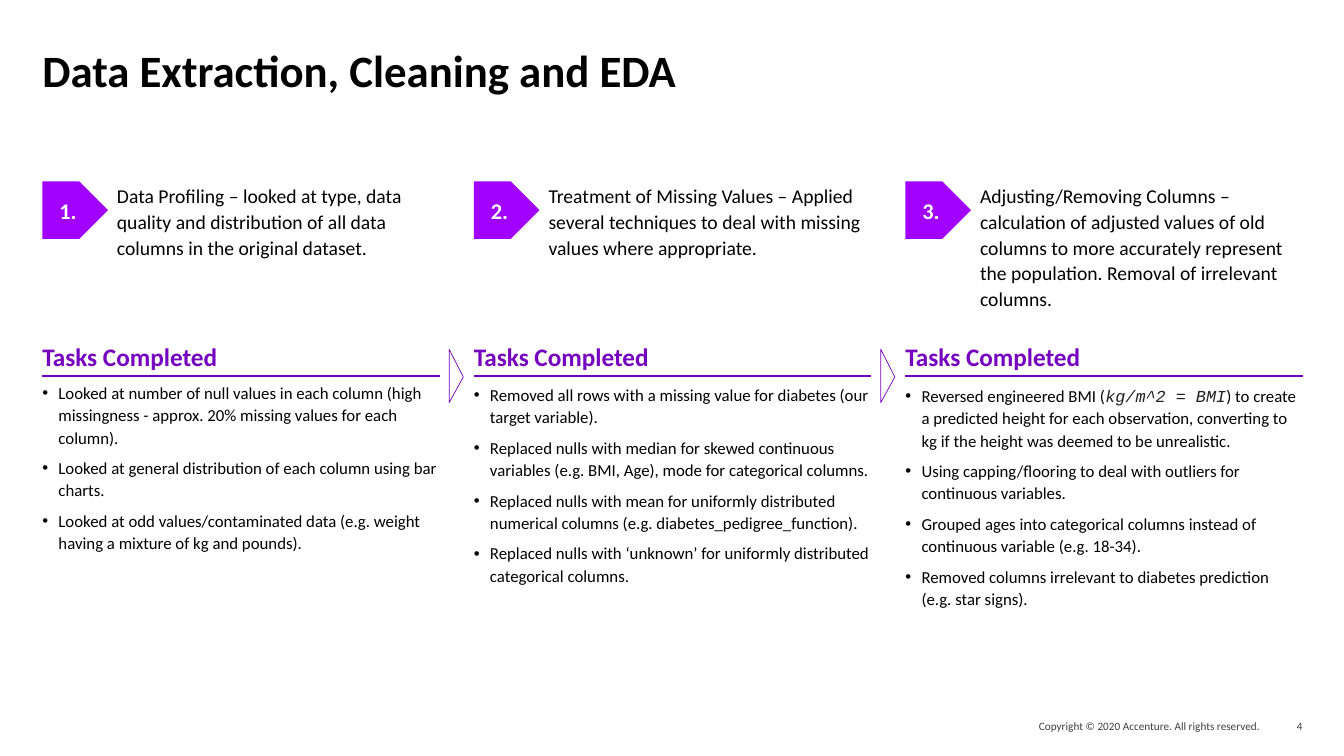
import pptx
import pptx.util
import pptx.oxml
import pptx.oxml.ns
import pptx.dml.color
import pptx.enum.text
import pptx.enum.shapes

Inches = pptx.util.Inches
Pt = pptx.util.Pt
SHAPE = pptx.enum.shapes.MSO_SHAPE
ALIGN = pptx.enum.text.PP_ALIGN
ANCHOR = pptx.enum.text.MSO_ANCHOR
PURPLE = "7500C0"
LEFT, STEP, WIDE = 0.42, 4.28, 3.94

TITLE = {"size": Pt(32), "bold": True}
LEAD = {"size": Pt(14)}
HEAD = {"size": Pt(18), "bold": True}
ITEM = {"size": Pt(12), "bold": False}
CODE = {"size": Pt(12), "bold": False, "italic": True, "name": "Courier New"}
BADGE = {"size": Pt(16), "bold": True}
FOOT = {"size": Pt(8)}

STAGES = [
    ("Data Profiling – looked at type, data quality and distribution of all data "
     "columns in the original dataset.", 3.78, 1.99, [
         "Looked at number of null values in each column (high missingness - approx. "
         "20% missing values for each column).",
         "Looked at general distribution of each column using bar charts.",
         "Looked at odd values/contaminated data (e.g. weight having a mixture of kg "
         "and pounds)."]),
    ("Treatment of Missing Values – Applied several techniques to deal with missing "
     "values where appropriate.", 3.8, 3.06, [
         "Removed all rows with a missing value for diabetes (our target variable).",
         "Replaced nulls with median for skewed continuous variables (e.g. BMI, Age), "
         "mode for categorical columns.",
         "Replaced nulls with mean for uniformly distributed numerical columns (e.g. "
         "diabetes_pedigree_function).",
         "Replaced nulls with ‘unknown’ for uniformly distributed categorical "
         "columns."]),
    ("Adjusting/Removing Columns – calculation of adjusted values of old columns to "
     "more accurately represent the population. Removal of irrelevant columns.",
     3.81, 2.54, [
         "Reversed engineered BMI (|kg/m^2 = BMI|) to create a predicted height for "
         "each observation, converting to kg if the height was deemed to be "
         "unrealistic.",
         "Using capping/flooring to deal with outliers for continuous variables.",
         "Grouped ages into categorical columns instead of continuous variable (e.g. "
         "18-34).",
         "Removed columns irrelevant to diabetes prediction (e.g. star signs)."]),
]


def color(code):
    return pptx.dml.color.RGBColor.from_string(code)


def apply(thing, form):
    for key, value in form.items():
        setattr(thing, key, value)


def place(shape, left, top, width, height):
    box = zip(("left", "top", "width", "height"), (left, top, width, height))
    apply(shape, {key: Inches(size) for key, size in box})


def frame(shape, anchor=ANCHOR.TOP):
    apply(shape.text_frame, {
        "word_wrap": True, "vertical_anchor": anchor,
        "auto_size": pptx.enum.text.MSO_AUTO_SIZE.NONE,
        "margin_left": 0, "margin_right": 0, "margin_top": 0, "margin_bottom": 0})
    return shape.text_frame


def write(para, text, form, tint="000000"):
    run = para.add_run()
    run.text = text
    apply(run.font, {"name": "Calibri", **form})
    run.font.color.rgb = color(tint)


def label(slide, box, text, form, tint="000000", align=ALIGN.LEFT,
          anchor=ANCHOR.TOP, space=1.0):
    shape = slide.shapes.add_textbox(*map(Inches, box))
    para = frame(shape, anchor).paragraphs[0]
    apply(para, {"alignment": align, "line_spacing": space})
    write(para, text, form, tint)


def bullet(para):
    props = para._p.get_or_add_pPr()
    props.set("marL", str(Inches(0.16)))
    props.set("indent", str(Inches(-0.16)))
    space = pptx.oxml.ns.nsdecls("a")
    props.append(pptx.oxml.parse_xml(f'<a:buFont {space} typeface="Arial"/>'))
    props.append(pptx.oxml.parse_xml(f'<a:buChar {space} char="•"/>'))


def fill_list(shape, box, items):
    place(shape, *box)
    text = frame(shape)
    for count, item in enumerate(items):
        para = text.add_paragraph() if count else text.paragraphs[0]
        bullet(para)
        apply(para, {"line_spacing": 1.1, "space_after": Pt(3),
                     "space_before": Pt(3 if count else 0), "alignment": ALIGN.LEFT})
        for part, words in enumerate(item.split("|")):
            if part % 2:
                write(para, words, CODE, "212121")
            else:
                write(para, words, ITEM)


def badge(slide, left, text):
    shape = slide.shapes.add_shape(
        SHAPE.PENTAGON, *map(Inches, (left, 1.8, 0.65, 0.57)))
    shape.shadow.inherit = False
    shape.fill.solid()
    shape.fill.fore_color.rgb = color("A100FF")
    shape.line.fill.background()
    shape.text_frame.vertical_anchor = ANCHOR.MIDDLE
    para = shape.text_frame.paragraphs[0]
    para.alignment = ALIGN.CENTER
    write(para, text, BADGE, "FFFFFF")


def arrow(slide, left):
    shape = slide.shapes.add_shape(
        SHAPE.ISOSCELES_TRIANGLE, *map(Inches, (left, 3.66, 0.53, 0.14)))
    shape.shadow.inherit = False
    shape.rotation = 90
    shape.adjustments[0] = 0.52
    shape.fill.background()
    shape.line.color.rgb = color(PURPLE)
    shape.line.width = Pt(0.5)


def rule(slide, left):
    line = slide.shapes.add_connector(
        pptx.enum.shapes.MSO_CONNECTOR.STRAIGHT,
        *map(Inches, (left, 3.73, left + WIDE, 3.73)))
    line.line.color.rgb = color(PURPLE)
    line.line.width = Pt(1)
    space = pptx.oxml.ns.nsdecls("a")
    line._element.spPr.append(pptx.oxml.parse_xml(f"<a:effectLst {space}/>"))


def main():
    deck = pptx.Presentation()
    apply(deck, {"slide_width": Inches(13.33), "slide_height": Inches(7.5)})
    slide = deck.slides.add_slide(deck.slide_layouts.get_by_name("Comparison"))
    title, *lists, spare = slide.placeholders
    spare._element.getparent().remove(spare._element)

    place(title, LEFT, 0.42, 12.5, 0.77)
    para = frame(title).paragraphs[0]
    para.alignment = ALIGN.LEFT
    write(para, "Data Extraction, Cleaning and EDA", TITLE)

    for count, (lead, top, height, items) in enumerate(STAGES):
        left = LEFT + count * STEP
        badge(slide, left, f"{count + 1}.")
        label(slide, (left + 0.74, 1.8, 3.21, 1.33), lead, LEAD, space=1.1)
        label(slide, (left, 3.39, WIDE, 0.3), "Tasks Completed", HEAD, PURPLE)
        rule(slide, left)
        fill_list(lists[count], (left, top, WIDE, height), items)
        if count:
            arrow(slide, left - 0.44)

    for box, text in (((9.1, 7.09, 3.4, 0.22),
                       "Copyright © 2020 Accenture. All rights reserved."),
                      ((12.5, 7.09, 0.42, 0.23), "4")):
        label(slide, box, text, FOOT, "404040", ALIGN.RIGHT, ANCHOR.MIDDLE)
    deck.save("out.pptx")


if __name__ == "__main__":
    main()
